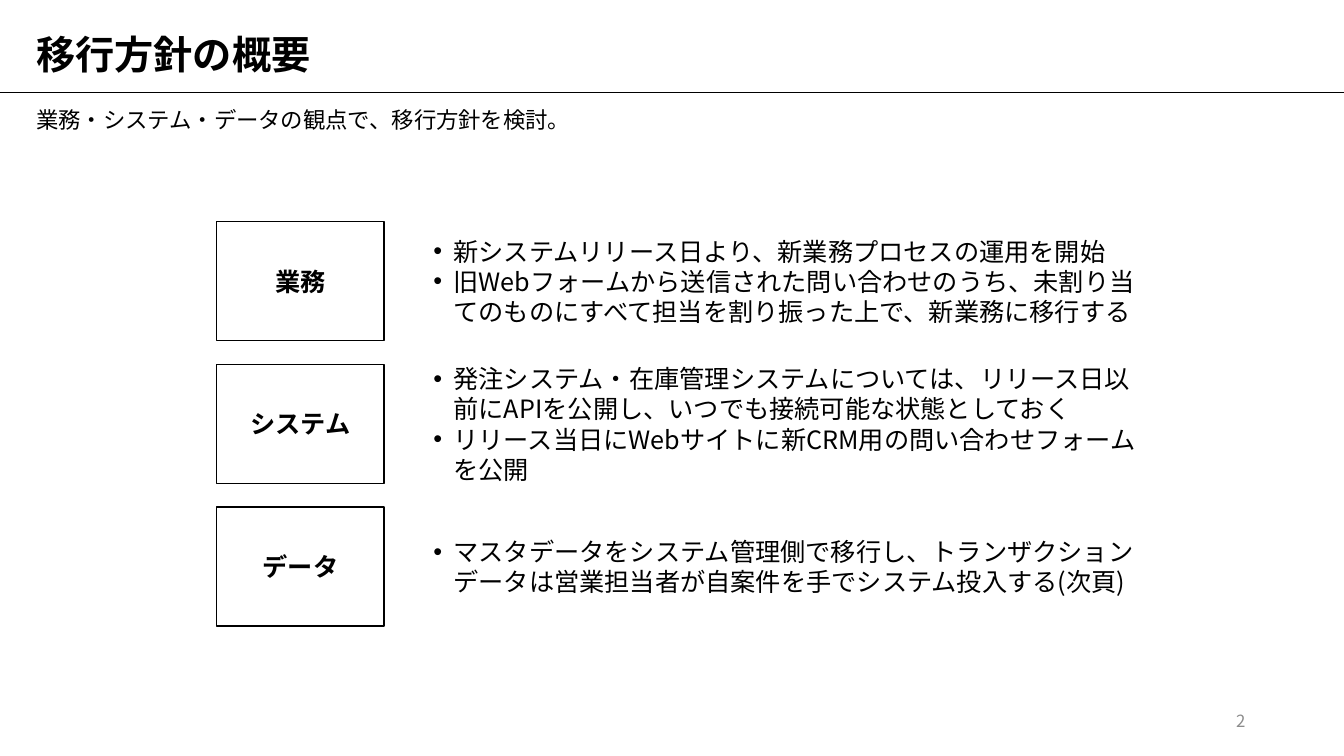
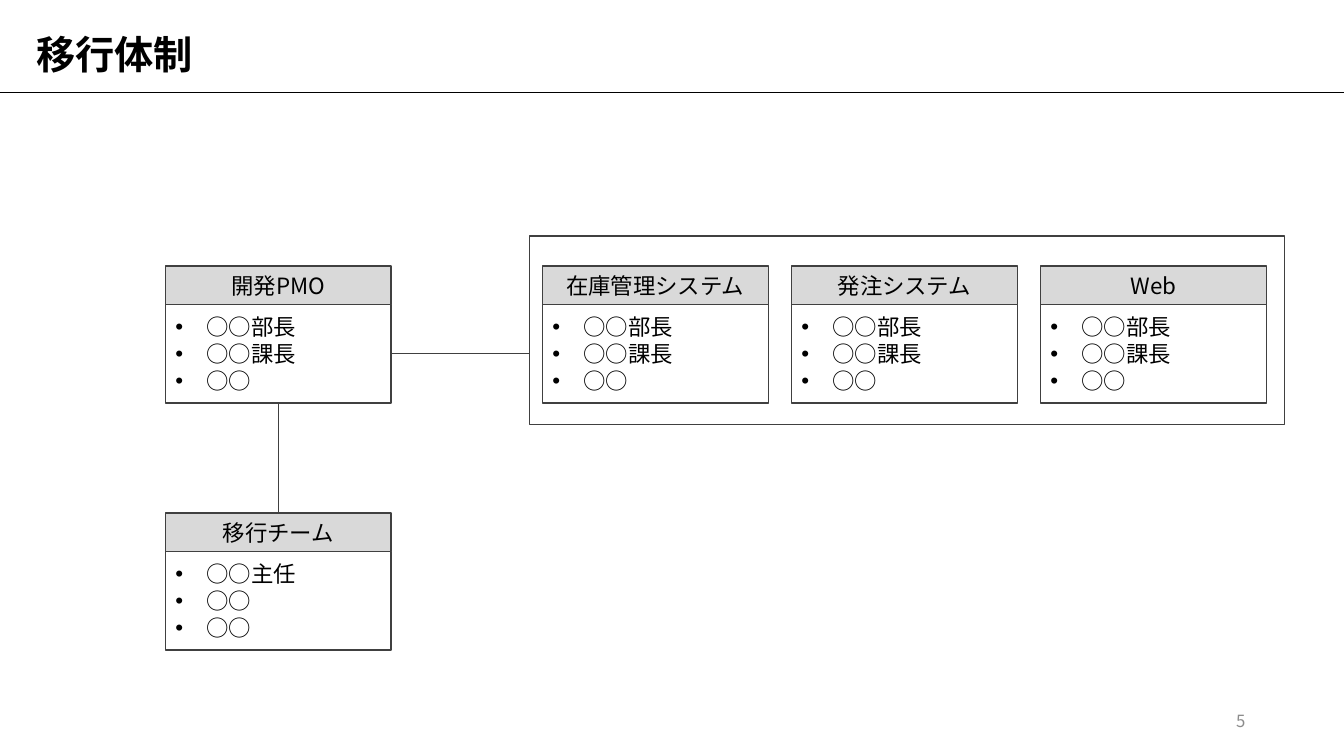
from dataclasses import dataclass

import lxml.etree
import pptx
import pptx.dml.color
import pptx.enum.lang
import pptx.enum.shapes
import pptx.enum.text
import pptx.oxml.ns
import pptx.presentation
import pptx.shapes.autoshape
import pptx.slide
import pptx.text.text
import pptx.util

Inches = pptx.util.Inches
Pt = pptx.util.Pt
qn = pptx.oxml.ns.qn
Align = pptx.enum.text.PP_ALIGN
Anchor = pptx.enum.text.MSO_ANCHOR


@dataclass(frozen=True)
class Theme:
    font: str = "Noto Sans CJK JP"
    ink: str = "000000"
    paper: str = "FFFFFF"
    outline: str = "404040"
    header_fill: str = "D9D9D9"
    muted: str = "8C8C8C"
    title_size: float = 28
    topic_size: float = 18
    body_size: float = 16
    number_size: float = 12


@dataclass(frozen=True)
class Area:
    left: float
    top: float
    width: float
    height: float

    def lengths(self) -> tuple[pptx.util.Length, ...]:
        return tuple(map(Inches, (self.left, self.top, self.width, self.height)))


@dataclass(frozen=True)
class TextStyle:
    size: float
    color: str
    bold: bool = False
    align: Align = Align.LEFT
    anchor: Anchor = Anchor.MIDDLE
    line_spacing: float = 1.0
    bullet_indent: float = 0


@dataclass(frozen=True)
class Topic:
    name: str
    points: tuple[str, ...]


@dataclass(frozen=True)
class Team:
    name: str
    members: tuple[str, ...]
    left: float
    top: float


THEME = Theme()
TITLE = TextStyle(THEME.title_size, THEME.ink, bold=True, line_spacing=0.9)
LEAD = TextStyle(THEME.body_size, THEME.ink, anchor=Anchor.TOP, line_spacing=0.9)
NUMBER = TextStyle(THEME.number_size, THEME.muted, align=Align.RIGHT)
TOPIC = TextStyle(THEME.topic_size, THEME.ink, bold=True, align=Align.CENTER)
POINT = TextStyle(THEME.topic_size, THEME.ink, bullet_indent=0.2)
TEAM = TextStyle(THEME.body_size, THEME.ink, align=Align.CENTER)
MEMBER = TextStyle(THEME.body_size, THEME.ink, bullet_indent=0.31)

PAGE_WIDTH, PAGE_HEIGHT = 13.33, 7.5
TITLE_AREA = Area(0.26, 0.21, 12.69, 0.7)
LEAD_AREA = Area(0.26, 1.03, 12.69, 0.38)
NUMBER_AREA = Area(9.45, 6.95, 3, 0.4)
RULE_TOP = 0.92

TOPIC_TOP, TOPIC_PITCH = 2.2, 2.83 / 2
TOPIC_HEIGHT, POINT_HEIGHT = 1.18, 1.11

TEAM_WIDTH, HEADER_HEIGHT, MEMBER_HEIGHT = 2.24, 0.38, 0.98
PMO_LEFT, TEAM_TOP, MIGRATION_TOP = 1.64, 2.64, 5.09
SYSTEM_LEFT, SYSTEM_PITCH = 5.38, 2.47
SYSTEM_FRAME = Area(5.25, 2.34, 7.49, 1.87)
LINK_TOP = 3.51

TOPICS = (
    Topic("業務", (
        "新システムリリース日より、新業務プロセスの運用を開始",
        "旧Webフォームから送信された問い合わせのうち、未割り当てのものにすべて担当を割り振った上で、新業務に移行する",
    )),
    Topic("システム", (
        "発注システム・在庫管理システムについては、リリース日以前にAPIを公開し、いつでも接続可能な状態としておく",
        "リリース当日にWebサイトに新CRM用の問い合わせフォームを公開",
    )),
    Topic("データ", (
        "マスタデータをシステム管理側で移行し、トランザクションデータは営業担当者が自案件を手でシステム投入する(次頁)",
    )),
)
MANAGERS = ("○○部長", "○○課長", "○○")
SYSTEMS = ("在庫管理システム", "発注システム", "Web")
TEAMS = (
    Team("開発PMO", MANAGERS, PMO_LEFT, TEAM_TOP),
    Team("移行チーム", ("○○主任", "○○", "○○"), PMO_LEFT, MIGRATION_TOP),
    *(
        Team(name, MANAGERS, SYSTEM_LEFT + index * SYSTEM_PITCH, TEAM_TOP)
        for index, name in enumerate(SYSTEMS)
    ),
)


def rgb(color: str) -> pptx.dml.color.RGBColor:
    return pptx.dml.color.RGBColor.from_string(color)


def add_bullet(para: pptx.text.text._Paragraph, indent: float) -> None:
    properties = para._p.get_or_add_pPr()
    properties.set("marL", str(Inches(indent)))
    properties.set("indent", str(-Inches(indent)))
    lxml.etree.SubElement(properties, qn("a:buFont"), typeface="Arial")
    lxml.etree.SubElement(properties, qn("a:buChar"), char="•")


def write(frame: pptx.text.text.TextFrame, lines: tuple[str, ...], style: TextStyle) -> None:
    frame.word_wrap = True
    frame.vertical_anchor = style.anchor
    frame.text = "\n".join(lines)
    for para in frame.paragraphs:
        if style.bullet_indent:
            add_bullet(para, style.bullet_indent)
        para.alignment = style.align
        para.line_spacing = style.line_spacing
        font = para.font
        font.size = Pt(style.size)
        font.bold = style.bold
        font.color.rgb = rgb(style.color)
        font.name = THEME.font
        font.language_id = pptx.enum.lang.MSO_LANGUAGE_ID.JAPANESE
        defaults = para._p.pPr.find(qn("a:defRPr"))
        lxml.etree.SubElement(defaults, qn("a:ea"), typeface=THEME.font)


def add_text(page: pptx.slide.Slide, area: Area, lines: tuple[str, ...], style: TextStyle) -> None:
    write(page.shapes.add_textbox(*area.lengths()).text_frame, lines, style)


def add_box(
    page: pptx.slide.Slide, area: Area, fill: str, outline: str
) -> pptx.shapes.autoshape.Shape:
    box = page.shapes.add_shape(pptx.enum.shapes.MSO_SHAPE.RECTANGLE, *area.lengths())
    box.shadow.inherit = False
    box.fill.solid()
    box.fill.fore_color.rgb = rgb(fill)
    box.line.color.rgb = rgb(outline)
    box.line.width = Pt(1)
    return box


def add_line(
    page: pptx.slide.Slide,
    start: tuple[float, float],
    end: tuple[float, float],
    color: str,
    width: float,
) -> None:
    line = page.shapes.add_connector(
        pptx.enum.shapes.MSO_CONNECTOR.STRAIGHT, *map(Inches, start + end)
    )
    line.line.color.rgb = rgb(color)
    line.line.width = Pt(width)
    lxml.etree.SubElement(line._element.spPr, qn("a:effectLst"))


def add_page(
    deck: pptx.presentation.Presentation, title: str, number: int
) -> pptx.slide.Slide:
    page = deck.slides.add_slide(deck.slide_layouts.get_by_name("Title Only"))
    heading = page.shapes.title
    heading.left, heading.top, heading.width, heading.height = TITLE_AREA.lengths()
    write(heading.text_frame, (title,), TITLE)
    add_line(page, (0, RULE_TOP), (PAGE_WIDTH, RULE_TOP), THEME.ink, 0.5)
    add_text(page, NUMBER_AREA, (str(number),), NUMBER)
    return page


def add_topic(page: pptx.slide.Slide, topic: Topic, top: float) -> None:
    box = add_box(page, Area(2.15, top, 1.66, TOPIC_HEIGHT), THEME.paper, THEME.ink)
    write(box.text_frame, (topic.name,), TOPIC)
    point_top = top + (TOPIC_HEIGHT - POINT_HEIGHT) / 2
    add_text(page, Area(4.2, point_top, 7.17, POINT_HEIGHT), topic.points, POINT)


def add_team(page: pptx.slide.Slide, team: Team) -> None:
    header_area = Area(team.left, team.top, TEAM_WIDTH, HEADER_HEIGHT)
    member_area = Area(team.left, team.top + HEADER_HEIGHT, TEAM_WIDTH, MEMBER_HEIGHT)
    header = add_box(page, header_area, THEME.header_fill, THEME.outline)
    write(header.text_frame, (team.name,), TEAM)
    members = add_box(page, member_area, THEME.paper, THEME.outline)
    write(members.text_frame, team.members, MEMBER)


def build_policy(deck: pptx.presentation.Presentation) -> None:
    page = add_page(deck, "移行方針の概要", 2)
    add_text(page, LEAD_AREA, ("業務・システム・データの観点で、移行方針を検討。",), LEAD)
    for index, topic in enumerate(TOPICS):
        add_topic(page, topic, TOPIC_TOP + index * TOPIC_PITCH)


def build_organization(deck: pptx.presentation.Presentation) -> None:
    page = add_page(deck, "移行体制", 5)
    add_box(page, SYSTEM_FRAME, THEME.paper, THEME.outline)
    for team in TEAMS:
        add_team(page, team)
    pmo_right = PMO_LEFT + TEAM_WIDTH
    pmo_center = PMO_LEFT + TEAM_WIDTH / 2
    pmo_bottom = TEAM_TOP + HEADER_HEIGHT + MEMBER_HEIGHT
    add_line(page, (pmo_right, LINK_TOP), (SYSTEM_FRAME.left, LINK_TOP), THEME.outline, 0.75)
    add_line(page, (pmo_center, pmo_bottom), (pmo_center, MIGRATION_TOP), THEME.outline, 0.75)


def main() -> None:
    deck = pptx.Presentation()
    deck.slide_width = Inches(PAGE_WIDTH)
    deck.slide_height = Inches(PAGE_HEIGHT)
    build_policy(deck)
    build_organization(deck)
    deck.save("out.pptx")


if __name__ == "__main__":
    main()
